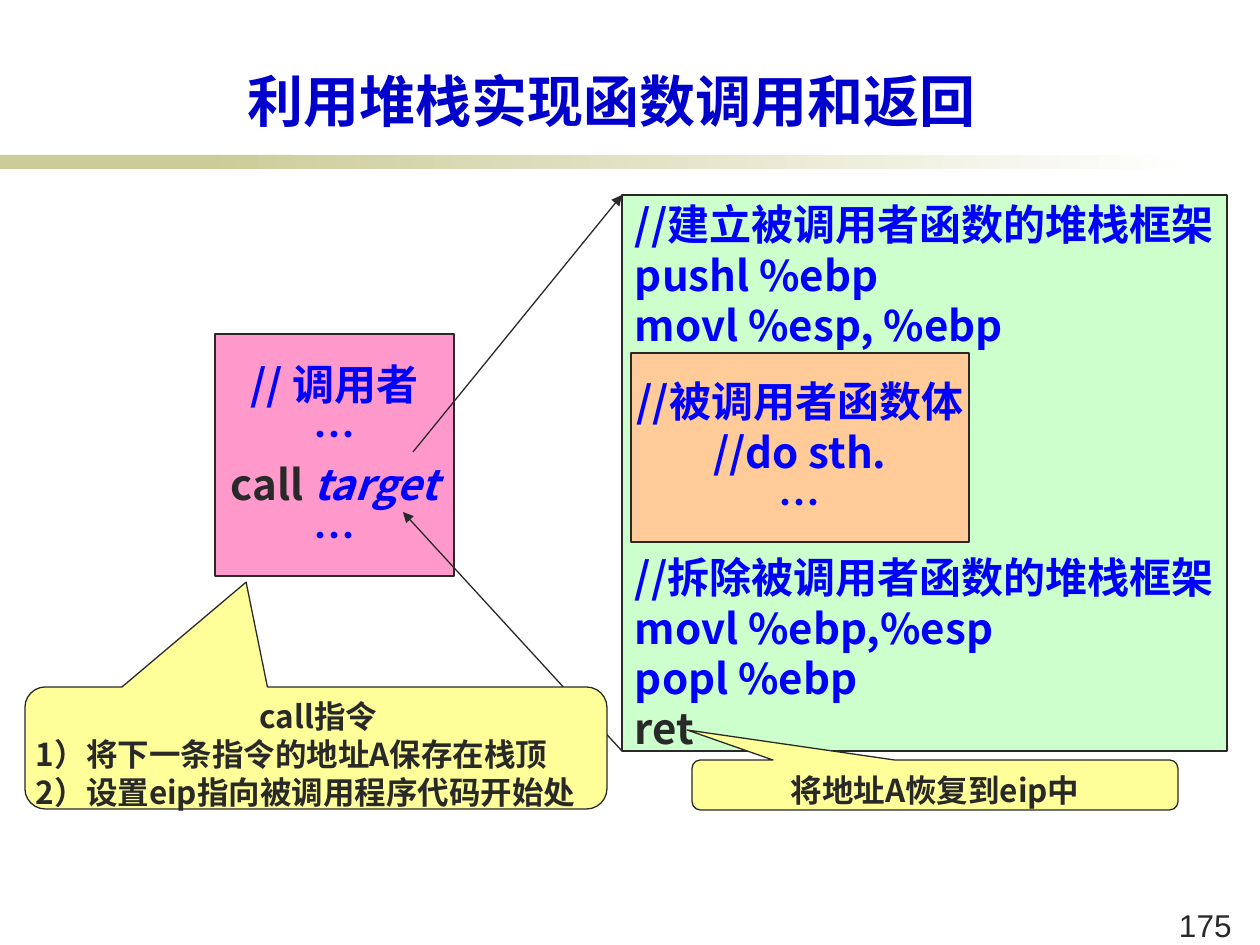
from dataclasses import dataclass

from lxml import etree
from pptx import Presentation
from pptx.dml.color import RGBColor
from pptx.enum.shapes import MSO_CONNECTOR, MSO_SHAPE
from pptx.enum.text import MSO_ANCHOR, PP_ALIGN
from pptx.oxml.ns import qn
from pptx.util import Emu, Pt

RECT = MSO_SHAPE.RECTANGLE
CALLOUT = MSO_SHAPE.ROUNDED_RECTANGULAR_CALLOUT
STRAIGHT = MSO_CONNECTOR.STRAIGHT
LEFT, CENTER = PP_ALIGN.LEFT, PP_ALIGN.CENTER
TOP, MIDDLE, BOTTOM = MSO_ANCHOR.TOP, MSO_ANCHOR.MIDDLE, MSO_ANCHOR.BOTTOM


@dataclass(frozen=True)
class Theme:
    ink: str = "292929"
    code: str = "0000FF"
    title: str = "0000CC"
    band: str = "CCCC99"
    paper: str = "FFFFFF"
    caller: str = "FF99CC"
    callee: str = "CCFFCC"
    body: str = "FFCC99"
    note: str = "FFFF99"
    font: str = "Noto Sans CJK SC"
    title_font: str = "Noto Sans CJK JP"
    number_font: str = "Arial"
    title_size: int = 32
    code_size: int = 24
    note_size: int = 18
    line_width: float = 0.75
    leading: float = 1.2


T = Theme()


def px(n):
    return Emu(round(n * 914400 / 126))


def rgb(value):
    return RGBColor.from_string(value)


def set_font(p, name, size, color, bold=True):
    p.font.name = name
    p.font.size = Pt(size)
    p.font.bold = bold
    p.font.color.rgb = rgb(color)
    latin = p._p.pPr.find(qn("a:defRPr")).find(qn("a:latin"))
    ea = etree.Element(qn("a:ea"), typeface=name)
    latin.addnext(ea)


def set_frame(tf, insets, anchor, wrap=True):
    tf.margin_left, tf.margin_top, tf.margin_right, tf.margin_bottom = map(px, insets)
    tf.vertical_anchor = anchor
    tf.word_wrap = wrap


def add_paragraph(tf, text, size, color, align=LEFT, gap_lines=0):
    p = tf.paragraphs[0]
    if p.runs:
        p = tf.add_paragraph()
    p.text = text
    p.alignment = align
    p.line_spacing = Pt(size * T.leading)
    if gap_lines:
        p.space_before = Pt(gap_lines * size * T.leading)
    set_font(p, T.font, size, color)
    return p


def add_colored_run(p, text, color):
    r = p.add_run()
    r.text = text
    r.font.color.rgb = rgb(color)
    return r


def add_box(s, kind, box, fill, outlined=True):
    sp = s.shapes.add_shape(kind, *map(px, box))
    sp.shadow.inherit = False
    sp.fill.solid()
    sp.fill.fore_color.rgb = rgb(fill)
    if outlined:
        sp.line.color.rgb = rgb(T.ink)
        sp.line.width = Pt(T.line_width)
    else:
        sp.line.fill.background()
    return sp


def add_arrow(s, start, end):
    line = s.shapes.add_connector(STRAIGHT, *map(px, start + end))
    line.line.color.rgb = rgb(T.ink)
    line.line.width = Pt(T.line_width)
    etree.SubElement(line.line._get_or_add_ln(), qn("a:tailEnd"), type="triangle")
    etree.SubElement(line._element.spPr, qn("a:effectLst"))


def add_band(s, box):
    x, y, w, h = box
    fade_x = x + 199
    add_box(s, RECT, (x, y, 293, h), T.band, outlined=False)
    fade = add_box(s, RECT, (fade_x, y, x + w - fade_x, h), T.band, outlined=False)
    fade.fill.gradient()
    fade.fill.gradient_angle = 0
    for stop, color in zip(fade.fill.gradient_stops, (T.band, T.paper)):
        stop.color.rgb = rgb(color)


def add_title(s, box):
    title = s.shapes.title
    title.left, title.top, title.width, title.height = map(px, box)
    tf = title.text_frame
    set_frame(tf, (12, 0, 12, 0), BOTTOM)
    p = tf.paragraphs[0]
    p.text = "利用堆栈实现函数调用和返回"
    p.alignment = CENTER
    set_font(p, T.title_font, T.title_size, T.title)


def add_page_number(s, box):
    tf = s.shapes.add_textbox(*map(px, box)).text_frame
    set_frame(tf, (13, 6, 0, 6), TOP)
    p = tf.paragraphs[0]
    p.text = "175"
    set_font(p, T.number_font, T.note_size, T.ink, bold=False)


def add_caller(s, box):
    tf = add_box(s, RECT, box, T.caller).text_frame
    set_frame(tf, (0, 8, 0, 0), MIDDLE, wrap=False)
    for text in ("// 调用者", "…"):
        add_paragraph(tf, text, T.code_size, T.code, CENTER)
    p = add_paragraph(tf, "", T.code_size, T.code, CENTER)
    add_colored_run(p, "call ", T.ink)
    add_colored_run(p, "target", T.code).font.italic = True
    add_paragraph(tf, "…", T.code_size, T.code, CENTER)


def add_callee(s, box):
    x, y, w, h = box
    tf = add_box(s, RECT, box, T.callee).text_frame
    set_frame(tf, (13, 4, 0, 0), TOP)
    add_paragraph(tf, "//建立被调用者函数的堆栈框架\vpushl %ebp\vmovl %esp, %ebp",
                  T.code_size, T.code)
    p = add_paragraph(tf, "//拆除被调用者函数的堆栈框架\vmovl %ebp,%esp\vpopl %ebp\v",
                      T.code_size, T.code, gap_lines=4)
    add_colored_run(p, "ret", T.ink)

    tf = add_box(s, RECT, (x + 9, y + 158, 338, 189), T.body).text_frame
    set_frame(tf, (0, 8, 0, 0), MIDDLE, wrap=False)
    for text in ("//被调用者函数体\v//do sth.", "…"):
        add_paragraph(tf, text, T.code_size, T.code, CENTER)


def add_note(s, box, tip, insets, anchor, heading, steps=()):
    sp = add_box(s, CALLOUT, box, T.note)
    for i, value in enumerate(tip):
        sp.adjustments[i] = value
    tf = sp.text_frame
    set_frame(tf, insets, anchor)
    add_paragraph(tf, heading, T.note_size, T.ink, CENTER)
    for step in steps:
        add_paragraph(tf, step, T.note_size, T.ink)


def main():
    prs = Presentation()
    prs.slide_width, prs.slide_height = px(1260), px(945)
    s = prs.slides.add_slide(prs.slide_layouts[5])
    add_band(s, (0, 155, 1197, 14))
    add_page_number(s, (1166, 900, 79, 42))
    add_title(s, (105, 55, 1014, 79))
    add_caller(s, (215, 334, 239, 242))
    callee_x, callee_y, callee_w, callee_h = callee = (622, 195, 605, 556)
    add_callee(s, callee)
    add_arrow(s, (413, 452), (callee_x, callee_y))
    add_arrow(s, (callee_x, callee_y + callee_h), (403, 512))
    add_note(s, (25, 687, 582, 122), (-0.12, -1.36), (5, 4, 0, 0), TOP, "call指令",
             ("1）将下一条指令的地址A保存在栈顶", "2）设置eip指向被调用程序代码开始处"))
    add_note(s, (692, 760, 486, 50), (-0.51, -1.1), (12, 10, 12, 0), MIDDLE,
             "将地址A恢复到eip中")
    prs.save("out.pptx")


if __name__ == "__main__":
    main()
